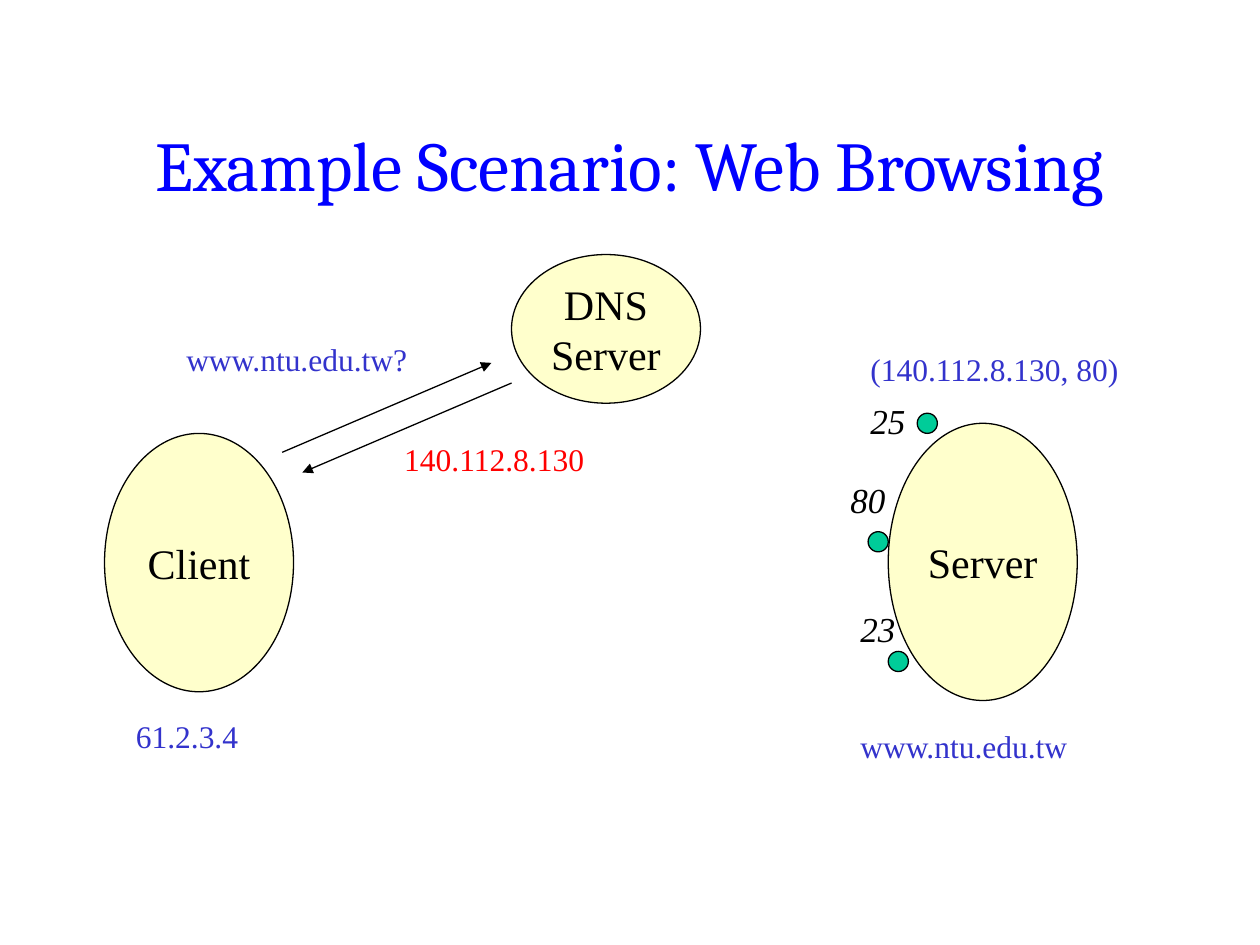
from lxml.etree import SubElement
from pptx import Presentation
from pptx.dml.color import RGBColor
from pptx.enum.shapes import MSO_CONNECTOR as Connector, MSO_SHAPE as Shape
from pptx.enum.text import MSO_ANCHOR as Anchor, PP_ALIGN as Align
from pptx.oxml.ns import qn
from pptx.util import Inches, Pt


def color(hex_string):
    return RGBColor.from_string(hex_string)


def write(shape, text, size, hue, font="Times New Roman", italic=False,
          align=Align.LEFT, anchor=Anchor.TOP, wrap=True):
    frame = shape.text_frame
    frame.text = text
    frame.word_wrap = wrap
    frame.vertical_anchor = anchor
    for paragraph in frame.paragraphs:
        paragraph.alignment = align
        for run in paragraph.runs:
            run.font.name = font
            run.font.size = Pt(size)
            run.font.italic = italic
            run.font.color.rgb = color(hue)


deck = Presentation()
deck.slide_width, deck.slide_height = Inches(10), Inches(7.5)
slide = deck.slides.add_slide(deck.slide_layouts[6])
shapes = slide.shapes
col = deck.slide_width / 100
row = deck.slide_height / 75

title = shapes.add_textbox(int(7.5 * col), int(6.7 * row), int(85 * col), int(12.5 * row))
write(title, "Example Scenario: Web Browsing", 40, "0000FF", "Cambria",
      align=Align.CENTER, anchor=Anchor.MIDDLE)

host_width, port_size = 15, 1.6
ovals = [
    ("Client", 8.3, 34.4, host_width, 20.5, "FFFFCC"),
    ("Server", 70.5, 33.6, host_width, 22, "FFFFCC"),
    ("DNS\vServer", 40.6, 20.2, host_width, 11.8, "FFFFCC"),
    ("", 72.8, 32.8, port_size, port_size, "00CC99"),
    ("", 68.9, 42.2, port_size, port_size, "00CC99"),
    ("", 70.5, 51.7, port_size, port_size, "00CC99"),
]
for host, x, y, width, height, fill in ovals:
    oval = shapes.add_shape(Shape.OVAL, int(x * col), int(y * row),
                            int(width * col), int(height * row))
    oval.shadow.inherit = False
    oval.fill.solid()
    oval.fill.fore_color.rgb = color(fill)
    oval.line.color.rgb = color("000000")
    oval.line.width = Pt(0.75)
    if host:
        write(oval, host, 24, "000000", align=Align.CENTER,
              anchor=Anchor.MIDDLE, wrap=False)

addresses = [
    ("www.ntu.edu.tw?", 13.8, 26.5, 20.5, "3333CC"),
    ("140.112.8.130", 31.1, 34.4, 18.1, "FF0000"),
    ("61.2.3.4", 9.8, 56.4, 13.4, "3333CC"),
    ("(140.112.8.130, 80)", 68.1, 27.3, 24.4, "3333CC"),
    ("www.ntu.edu.tw", 67.3, 57.2, 19.7, "3333CC"),
]
for address, x, y, width, hue in addresses:
    label = shapes.add_textbox(int(x * col), int(y * row), int(width * col), int(4 * row))
    write(label, address, 18, hue)

for port, x, y in [("25", 68.1, 31.2), ("80", 66.5, 37.5), ("23", 67.3, 47.7)]:
    label = shapes.add_textbox(int(x * col), int(y * row), int(6.3 * col), int(4.3 * row))
    write(label, port, 20, "000000", italic=True)

query = (22.4, 35.9, 39, 28.8)
reply = (40.6, 30.4, 24, 37.5)
for x1, y1, x2, y2 in (query, reply):
    arrow = shapes.add_connector(Connector.STRAIGHT, int(x1 * col), int(y1 * row),
                                 int(x2 * col), int(y2 * row))
    arrow.line.color.rgb = color("000000")
    arrow.line.width = Pt(0.75)
    SubElement(arrow.line._get_or_add_ln(), qn("a:tailEnd"), type="triangle")
    SubElement(arrow._element.spPr, qn("a:effectLst"))

deck.save("out.pptx")
